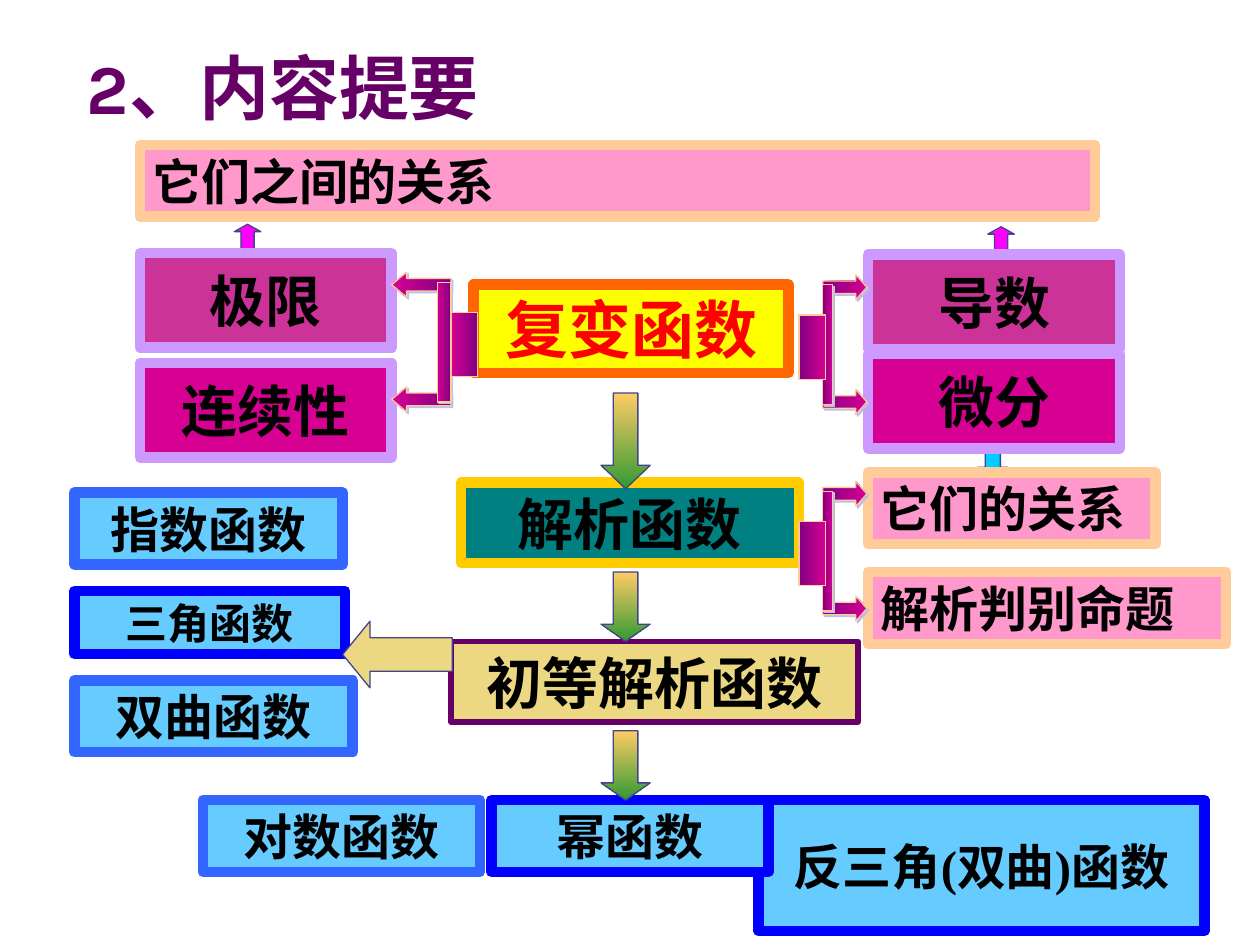
"""Build the content summary slide on functions of a complex variable."""
from dataclasses import dataclass

from lxml import etree
from pptx import Presentation
from pptx.dml.color import RGBColor
from pptx.enum.shapes import MSO_SHAPE
from pptx.enum.text import MSO_ANCHOR, PP_ALIGN
from pptx.oxml.ns import qn
from pptx.util import Inches, Pt

RECT = MSO_SHAPE.RECTANGLE
UP = MSO_SHAPE.UP_ARROW
DOWN = MSO_SHAPE.DOWN_ARROW
LEFT_ARROW = MSO_SHAPE.LEFT_ARROW
RIGHT_ARROW = MSO_SHAPE.RIGHT_ARROW
MIDDLE, BOTTOM = MSO_ANCHOR.MIDDLE, MSO_ANCHOR.BOTTOM
LEFT, CENTER = PP_ALIGN.LEFT, PP_ALIGN.CENTER

HAN = "Noto Sans CJK SC"
ROMAN = "Times New Roman"
NAVY = "40458C"
PEACH = "FFCC99"
MAGENTA = ("800080", "D60093")
LEAF = ("FFCC66", "339933")
ROSE, SKY = "FF99CC", "66CCFF"
BLUE, DEEP, LILAC = "3366FF", "0000FF", "CC99FF"


@dataclass
class Box:
    """A bordered box with one line of text."""
    text: str
    at: tuple
    fill: str
    edge: str
    size: int = 28
    face: str = HAN
    align: PP_ALIGN = CENTER
    ink: str = "000000"
    width: float = 6


@dataclass
class Arrow:
    """A block arrow with a plain or gradient fill."""
    kind: MSO_SHAPE
    at: tuple
    fill: str | tuple
    head: float


@dataclass
class Fork:
    """A block, a stem and two arrows that lead to a pair of boxes."""
    top: float
    block: float
    stem: tuple
    arm: tuple
    head: float
    flip: bool = False


HINTS = [
    Arrow(UP, (1.86, 1.78, 0.21, 0.23), "FF00FF", 0.28),
    Arrow(UP, (7.84, 1.8, 0.21, 0.23), "FF00FF", 0.28),
    Arrow(DOWN, (7.76, 3.59, 0.24, 0.16), "00CCFF", 0.25),
]
BOXES = [
    Box("复变函数", (3.76, 2.26, 2.5, 0.7), "FFFF00", "FF6600", 36, ink="FF0000"),
    Box("解析函数", (3.66, 3.83, 2.68, 0.64), "008080", "FFCC00", 32),
    Box("初等解析函数", (3.58, 5.09, 3.23, 0.64), "ECD882", "660066", 32, width=3),
    Box("它们之间的关系", (1.11, 1.15, 7.58, 0.57), ROSE, PEACH, align=LEFT),
    Box("极限", (1.11, 2.01, 2, 0.75), "CC3399", LILAC, 32),
    Box("连续性", (1.11, 2.88, 2, 0.75), "D60093", LILAC, 32),
    Box("导数", (6.89, 2.02, 2, 0.75), "CC3399", LILAC, 32),
    Box("微分", (6.89, 2.81, 2, 0.75), "D60093", LILAC, 32),
    Box("它们的关系", (6.89, 3.75, 2.28, 0.57), ROSE, PEACH, align=LEFT),
    Box("解析判别命题", (6.89, 4.54, 2.84, 0.57), ROSE, PEACH, align=LEFT),
    Box("指数函数", (0.59, 3.91, 2.13, 0.57), SKY, BLUE, face=ROMAN),
    Box("三角函数", (0.59, 4.69, 2.15, 0.5), SKY, DEEP, 24, ROMAN),
    Box("双曲函数", (0.59, 5.4, 2.21, 0.57), SKY, BLUE, face=ROMAN),
    Box("对数函数", (1.61, 6.35, 2.2, 0.57), SKY, BLUE, face=ROMAN),
    Box("反三角(双曲)函数", (6.02, 6.35, 3.54, 1.04), SKY, DEEP, face=ROMAN),
    Box("幂函数", (3.9, 6.35, 2.2, 0.57), SKY, DEEP, face=ROMAN),
]
FORKS = [
    Fork(2.16, 3.58, (3.47, 0.11), (3.11, 0.47), 0.59, True),
    Fork(2.18, 6.34, (6.53, 0.08), (6.53, 0.35), 0.44),
    Fork(3.82, 6.34, (6.53, 0.08), (6.53, 0.35), 0.44),
]
STEPS = [
    Arrow(DOWN, (4.77, 3.12, 0.39, 0.76), LEAF, 0.48),
    Arrow(DOWN, (4.77, 4.54, 0.39, 0.55), LEAF, 0.35),
    Arrow(DOWN, (4.77, 5.8, 0.39, 0.55), LEAF, 0.35),
    Arrow(LEFT_ARROW, (2.72, 4.93, 0.87, 0.53), "ECD882", 0.41),
]


def tint(part, color: str) -> None:
    """Set a colour from a hex string."""
    part.rgb = RGBColor.from_string(color)


def shape(shapes, kind, at: tuple, fill, edge: str, width: float = 0.75, angle: int = 0):
    """Add a shape with its fill and line."""
    item = shapes.add_shape(kind, *map(Inches, at))
    item.shadow.inherit = False
    if isinstance(fill, tuple):
        item.fill.gradient()
        item.fill.gradient_angle = angle
        for stop, color in zip(item.fill.gradient_stops, fill):
            tint(stop.color, color)
    else:
        item.fill.solid()
        tint(item.fill.fore_color, fill)
    tint(item.line.color, edge)
    item.line.width = Pt(width)
    return item


def write(frame, text: str, size: int, face: str, ink: str, align, anchor) -> None:
    """Put formatted text into a frame."""
    frame.word_wrap = True
    frame.vertical_anchor = anchor
    line = frame.paragraphs[0]
    line.alignment = align
    run = line.add_run()
    run.text = text
    look = {"size": Pt(size), "bold": True, "name": face}
    for key, value in look.items():
        setattr(run.font, key, value)
    tint(run.font.color, ink)
    etree.SubElement(run.font._element, qn("a:ea"), typeface=HAN)


def draw_box(shapes, box: Box) -> None:
    """Draw one text box with a border."""
    item = shape(shapes, RECT, box.at, box.fill, box.edge, box.width)
    write(item.text_frame, box.text, box.size, box.face, box.ink, box.align, MIDDLE)


def draw_arrow(shapes, arrow: Arrow) -> None:
    """Draw one block arrow."""
    item = shape(shapes, arrow.kind, arrow.at, arrow.fill, NAVY, angle=270)
    item.adjustments[1] = arrow.head


def shade(item) -> None:
    """Give a shape a short diagonal shadow."""
    list_ = item.element.spPr.find(qn("a:effectLst"))
    cast = etree.SubElement(list_, qn("a:outerShdw"), dist=str(Pt(1.4)), dir="2700000")
    etree.SubElement(cast, qn("a:srgbClr"), val="B7C1EB")


def draw_fork(shapes, fork: Fork) -> None:
    """Draw one fork as a group."""
    group = shapes.add_group_shape().shapes
    (x, wide), (stem, thin) = fork.arm, fork.stem
    parts = [
        (RIGHT_ARROW, (x, fork.top + 0.91, wide, 0.2)),
        (RIGHT_ARROW, (x, fork.top, wide, 0.2)),
        (RECT, (stem, fork.top + 0.08, thin, 0.95)),
        (RECT, (fork.block, fork.top + 0.32, 0.21, 0.51)),
    ]
    for kind, at in parts:
        item = shape(group, kind, at, MAGENTA, PEACH)
        if kind == RIGHT_ARROW:
            item.adjustments[1] = fork.head
        if at[0] != fork.block:
            shade(item)
        if fork.flip:
            item.element.spPr.find(qn("a:xfrm")).set("flipH", "1")


def main() -> None:
    """Build and save the slide."""
    deck = Presentation()
    deck.slide_width, deck.slide_height = Inches(10), Inches(7.5)
    slide = deck.slides.add_slide(deck.slide_layouts[5])
    title = slide.shapes.title
    place = {"left": 0.59, "top": 0.36, "width": 8.5, "height": 0.71}
    for key, value in place.items():
        setattr(title, key, Inches(value))
    write(title.text_frame, "2、内容提要", 40, "Karla", "660066", LEFT, BOTTOM)
    for draw, items in ((draw_arrow, HINTS), (draw_box, BOXES),
                        (draw_fork, FORKS), (draw_arrow, STEPS)):
        for item in items:
            draw(slide.shapes, item)
    deck.save("out.pptx")


if __name__ == "__main__":
    main()
